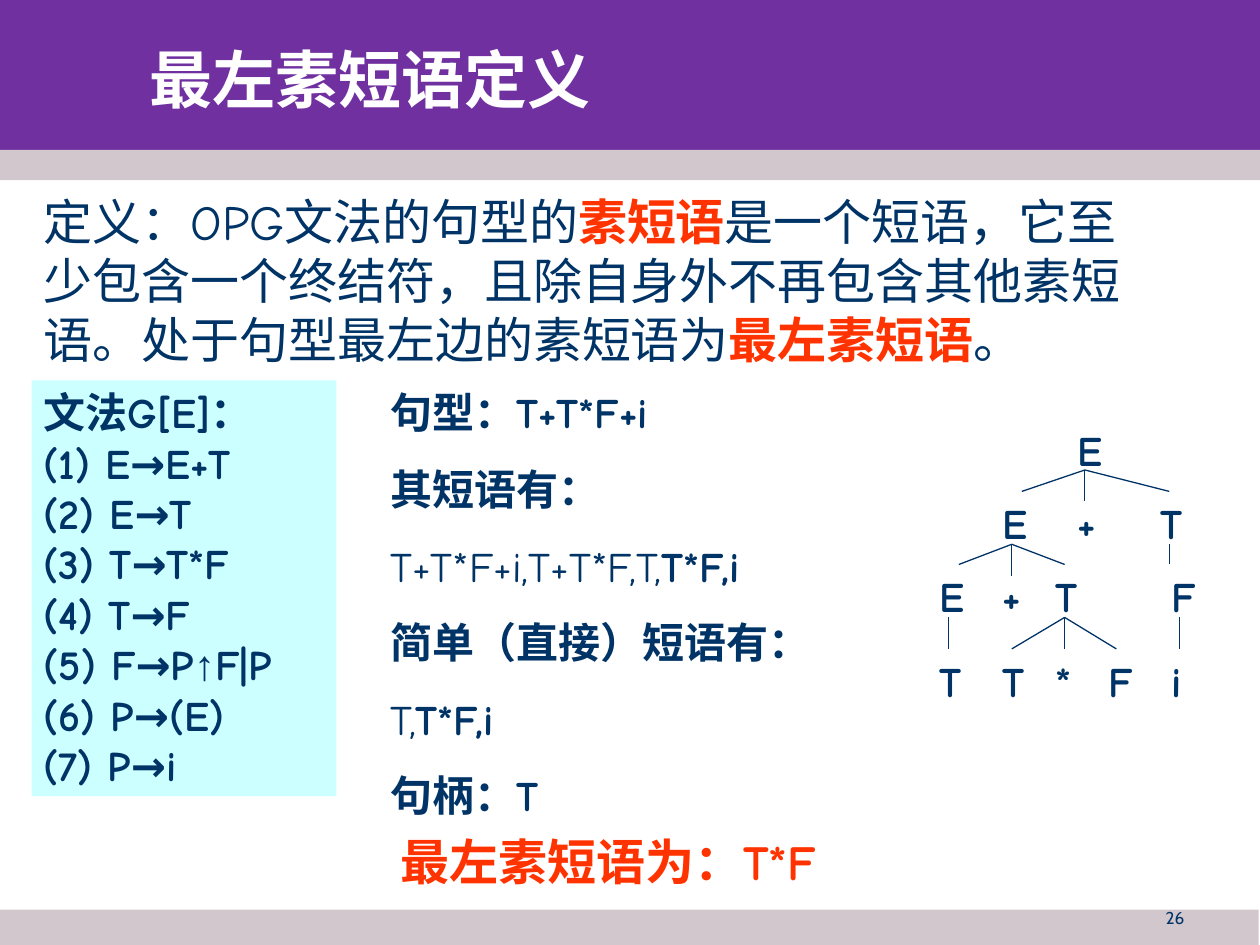
from typing import NamedTuple

from lxml import etree
from pptx import Presentation
from pptx.dml.color import RGBColor
from pptx.enum.shapes import MSO_CONNECTOR, MSO_SHAPE
from pptx.enum.text import MSO_ANCHOR, MSO_AUTO_SIZE, PP_ALIGN
from pptx.oxml.ns import qn
from pptx.util import Inches, Pt

RECTANGLE = MSO_SHAPE.RECTANGLE
STRAIGHT = MSO_CONNECTOR.STRAIGHT
LEFT, RIGHT = PP_ALIGN.LEFT, PP_ALIGN.RIGHT
TOP, MIDDLE = MSO_ANCHOR.TOP, MSO_ANCHOR.MIDDLE
FIT_SHAPE, NO_FIT = MSO_AUTO_SIZE.SHAPE_TO_FIT_TEXT, MSO_AUTO_SIZE.NONE

PURPLE = RGBColor(0x70, 0x30, 0xA0)
MAUVE = RGBColor(0xD3, 0xC7, 0xCE)
PALE_CYAN = RGBColor(0xCC, 0xFF, 0xFF)
NAVY = RGBColor(0x00, 0x33, 0x66)
ORANGE_RED = RGBColor(0xFF, 0x33, 0x00)
WHITE = RGBColor(0xFF, 0xFF, 0xFF)

BODY_FONT = "Comic Neue"
CHINESE_FONT = "Noto Sans CJK SC"


class Box(NamedTuple):
    left: float
    top: float
    width: float
    height: float


class Span(NamedTuple):
    text: str
    bold: bool = True
    color: RGBColor = NAVY
    font: str = BODY_FONT


class Node(NamedTuple):
    symbol: str
    left: float
    top: float


class Fan(NamedTuple):
    """Branches running from one parent point to several child points."""
    parent: tuple[float, float]
    children: list[tuple[float, float]]


BANDS = [
    (Box(0, 0, 10, 1.31), PURPLE),
    (Box(0, 1.19, 10, 0.24), MAUVE),
    (Box(0, 7.22, 9.99, 0.3), MAUVE),
]

DEFINITION = [[
    Span("定义：OPG文法的句型的", False),
    Span("素短语", color=ORANGE_RED),
    Span("是一个短语，它至少包含一个终结符，且除自身外不再包含其他素短语。"
         "处于句型最左边的素短语为", False),
    Span("最左素短语", color=ORANGE_RED),
    Span("。", False),
]]

GRAMMAR = [[
    Span("文法G[E]：\n(1) E→E+T\n(2) E→T\n(3) T→T*F\n(4) T→F\n(5) F→P"),
    Span("↑", font="Arial"),
    Span("F|P\n(6) P→(E)\n(7) P→i"),
]]

PHRASES = [
    [Span("句型：T+T*F+i")],
    [Span("其短语有：")],
    [Span("T+T*F+i,T+T*F,T,", False), Span("T*F,i")],
    [Span("简单（直接）短语有：")],
    [Span("T,", False), Span("T*F,i")],
    [Span("句柄：T")],
]

TREE_LEVELS = [
    (3.32, [("E", 8.45)]),
    (3.9, [("E", 7.86), ("+", 8.45), ("T", 9.11)]),
    (4.48, [("E", 7.36), ("+", 7.86), ("T", 8.28), ("F", 9.2)]),
    (5.15, [("T", 7.36), ("T", 7.86), ("*", 8.28), ("F", 8.7), ("i", 9.2)]),
]
NODES = [Node(symbol, left, top)
         for top, level in TREE_LEVELS for symbol, left in level]
FANS = [
    Fan((8.61, 3.73), [(8.11, 3.9), (8.61, 3.98), (9.28, 3.9)]),
    Fan((8.03, 4.32), [(7.61, 4.48), (8.03, 4.57), (8.45, 4.48)]),
    Fan((9.28, 4.32), [(9.28, 4.48)]),
    Fan((7.53, 4.9), [(7.53, 5.15)]),
    Fan((8.45, 4.9), [(8.03, 5.15), (8.45, 5.15), (8.86, 5.15)]),
    Fan((9.36, 4.9), [(9.36, 5.15)]),
]


def place(box: Box) -> list[int]:
    return [Inches(length) for length in box]


def add_spans(paragraph, spans: list[Span], size: float) -> None:
    for span in spans:
        for index, line in enumerate(span.text.split("\n")):
            if index:
                paragraph.add_line_break()
            run = paragraph.add_run()
            run.text = line
            run.font.size = Pt(size)
            run.font.bold = span.bold
            run.font.name = span.font
            run.font.color.rgb = span.color
            east_asian = etree.SubElement(run.font._element, qn("a:ea"))
            east_asian.set("typeface", CHINESE_FONT)


def write(shape, paragraphs: list[list[Span]], size: float,
          space_before: float = 0, align=LEFT, anchor=TOP,
          fit=FIT_SHAPE) -> None:
    frame = shape.text_frame
    frame.word_wrap = True
    frame.auto_size = fit
    frame.vertical_anchor = anchor
    for index, spans in enumerate(paragraphs):
        paragraph = frame.add_paragraph() if index else frame.paragraphs[0]
        paragraph.alignment = align
        paragraph.space_before = Pt(space_before)
        add_spans(paragraph, spans, size)


def add_panel(shapes, box: Box, color: RGBColor):
    panel = shapes.add_shape(RECTANGLE, *place(box))
    panel.shadow.inherit = False
    panel.fill.solid()
    panel.fill.fore_color.rgb = color
    panel.line.fill.background()
    return panel


def add_text(shapes, box: Box, paragraphs: list[list[Span]], size: float,
             space_before: float) -> None:
    write(shapes.add_textbox(*place(box)), paragraphs, size, space_before)


def add_fan(shapes, fan: Fan) -> None:
    for child in fan.children:
        branch = shapes.add_connector(
            STRAIGHT, *(Inches(length) for length in fan.parent + child))
        branch.line.color.rgb = NAVY
        branch.line.width = Pt(0.75)
        etree.SubElement(branch._element.spPr, qn("a:effectLst"))


def add_syntax_tree(shapes) -> None:
    tree = shapes.add_group_shape().shapes
    for node in NODES:
        add_text(tree, Box(node.left, node.top, 0.42, 0.5),
                 [[Span(node.symbol)]], 24, 15)
    for fan in FANS:
        add_fan(tree, fan)


def main() -> None:
    presentation = Presentation()
    presentation.slide_width = Inches(10)
    presentation.slide_height = Inches(7.5)
    slide = presentation.slides.add_slide(presentation.slide_layouts[5])
    shapes = slide.shapes

    for box, color in BANDS:
        add_panel(shapes, box, color)

    page_number = shapes.add_textbox(*place(Box(7.17, 7.18, 2.33, 0.31)))
    write(page_number, [[Span("26", False, font="Cabin")]], 9.8,
          align=RIGHT, fit=NO_FIT)
    page_number.text_frame.paragraphs[0].line_spacing = 0.8

    grammar = add_panel(shapes, Box(0.25, 3.02, 2.42, 3.3), PALE_CYAN)
    write(grammar, GRAMMAR, 24, 15)
    add_text(shapes, Box(3, 3.02, 4, 3.54), PHRASES, 24, 15)
    add_syntax_tree(shapes)
    add_text(shapes, Box(3.08, 6.55, 3.92, 0.57),
             [[Span("最左素短语为：T*F", color=ORANGE_RED)]], 28, 17.5)

    title = shapes.title
    title.left, title.top, title.width, title.height = place(
        Box(1.09, 0.16, 8.48, 0.92))
    write(title, [[Span("最左素短语定义", color=WHITE, font=CHINESE_FONT)]], 36,
          anchor=MIDDLE, fit=NO_FIT)
    # The title must lie in front of the purple band.
    shapes._spTree.append(title._element)

    add_text(shapes, Box(0.25, 1.47, 8.83, 1.5), DEFINITION, 28, 17.5)
    presentation.save("out.pptx")


if __name__ == "__main__":
    main()
